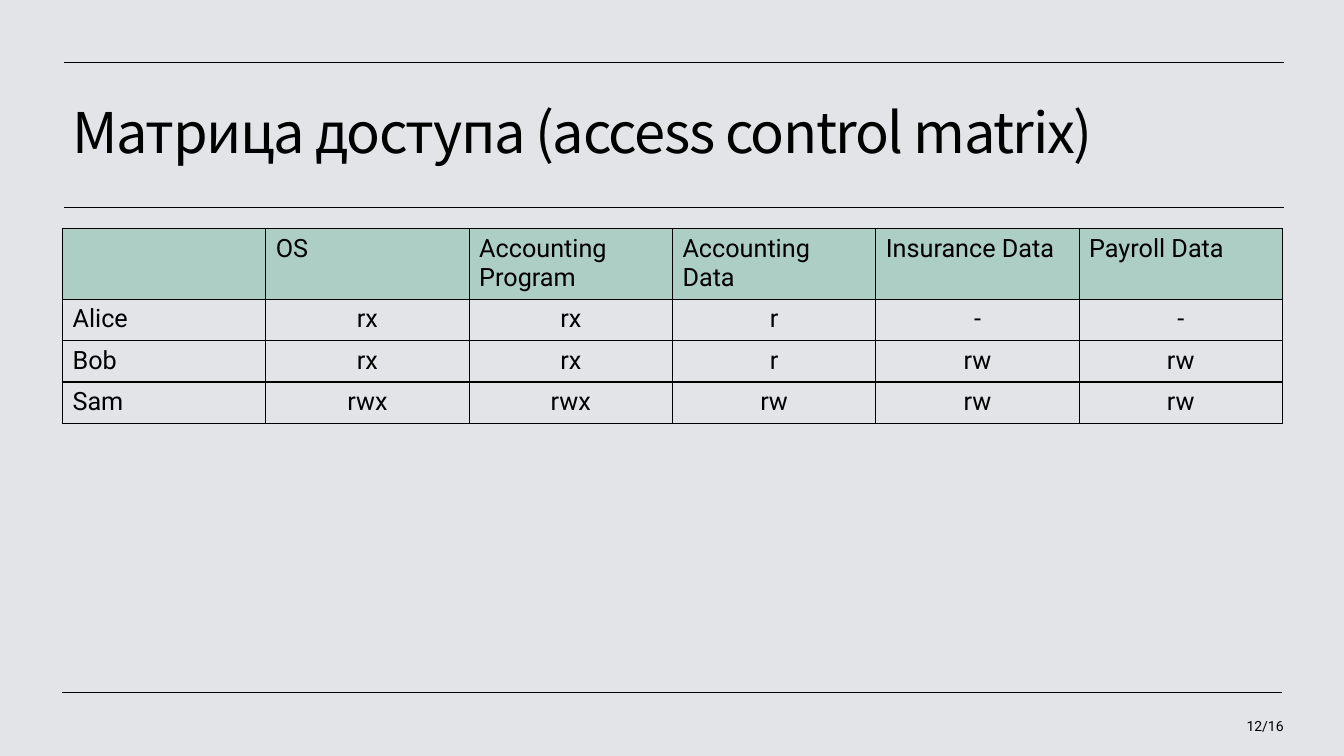
"""Builds the access control matrix slide."""
from lxml.etree import SubElement
from pptx import Presentation
from pptx.dml.color import RGBColor
from pptx.enum.shapes import MSO_CONNECTOR
from pptx.enum.text import MSO_ANCHOR as ANCHOR, PP_ALIGN as ALIGN
from pptx.oxml import parse_xml
from pptx.oxml.ns import nsdecls, qn
from pptx.util import Inches, Pt

TITLE = "Матрица доступа (access control matrix)"
PAGE = "12/16"
MATRIX = [
    ["", "OS", "Accounting Program", "Accounting Data", "Insurance Data", "Payroll Data"],
    ["Alice", "rx", "rx", "r", "-", "-"],
    ["Bob", "rx", "rx", "r", "rw", "rw"],
    ["Sam", "rwx", "rwx", "rw", "rw", "rw"],
]
BLACK, PAPER, GREEN = "000000", "E2E4E8", "ADCEC5"
LEFT, WIDTH = 0.62, 12.1
HEADER_H, ROW_H = 0.69, 0.41
RULES = [(0.63, 0.62), (0.63, 2.06), (0.62, 6.87)]


def color(value):
    return RGBColor.from_string(value)


def write(tf, text, size, font, align=ALIGN.LEFT):
    p = tf.paragraphs[0]
    p.alignment = align
    p.font.size, p.font.name = Pt(size), font
    p.font.color.rgb = color(BLACK)
    if text:
        p.add_run().text = text
    return p


def add_text(s, box, text, size, font, align=ALIGN.LEFT):
    tf = s.shapes.add_textbox(*map(Inches, box)).text_frame
    tf.word_wrap = True
    tf.vertical_anchor = ANCHOR.MIDDLE
    return write(tf, text, size, font, align)


def add_rule(s, x, y):
    line = s.shapes.add_connector(
        MSO_CONNECTOR.STRAIGHT, Inches(x), Inches(y), Inches(x + WIDTH), Inches(y))
    line.line.width = Pt(0.5)
    line.line.color.rgb = color(BLACK)
    SubElement(line._element.spPr, qn("a:effectLst"))


def style_cell(cell, fill):
    pr = cell._tc.get_or_add_tcPr()
    for side in ("lnL", "lnR", "lnT", "lnB"):
        pr.append(parse_xml(
            f'<a:{side} {nsdecls("a")} w="{Pt(1)}"><a:solidFill>'
            f'<a:srgbClr val="{BLACK}"/></a:solidFill></a:{side}>'))
    if fill:
        cell.fill.solid()
        cell.fill.fore_color.rgb = color(fill)
    else:
        cell.fill.background()


def add_matrix(s):
    rows, cols = len(MATRIX), len(MATRIX[0])
    height = HEADER_H + (rows - 1) * ROW_H
    table = s.shapes.add_table(
        rows, cols, Inches(LEFT), Inches(2.27), Inches(WIDTH), Inches(height)).table
    table.horz_banding = False
    for i, values in enumerate(MATRIX):
        table.rows[i].height = Inches(ROW_H if i else HEADER_H)
        for j, value in enumerate(values):
            cell = table.cell(i, j)
            p = write(cell.text_frame, value, 18, "Roboto",
                      ALIGN.CENTER if i and j else ALIGN.LEFT)
            p.font.bold = False
            style_cell(cell, None if i else GREEN)


def main():
    prs = Presentation()
    prs.slide_width, prs.slide_height = Inches(13.33), Inches(7.5)
    s = prs.slides.add_slide(prs.slide_layouts[6])
    s.background.fill.solid()
    s.background.fill.fore_color.rgb = color(PAPER)
    for x, y in RULES:
        add_rule(s, x, y)
    p = add_text(s, (LEFT, 0.75, 12.08, 1.19), TITLE, 40, "Noto Sans CJK KR")
    p.line_spacing = 0.9
    p.runs[0].font._element.set("spc", "-100")
    add_matrix(s)
    add_text(s, (12.06, 7, 0.77, 0.4), PAGE, 10, "Roboto", ALIGN.RIGHT)
    prs.save("out.pptx")


if __name__ == "__main__":
    main()
